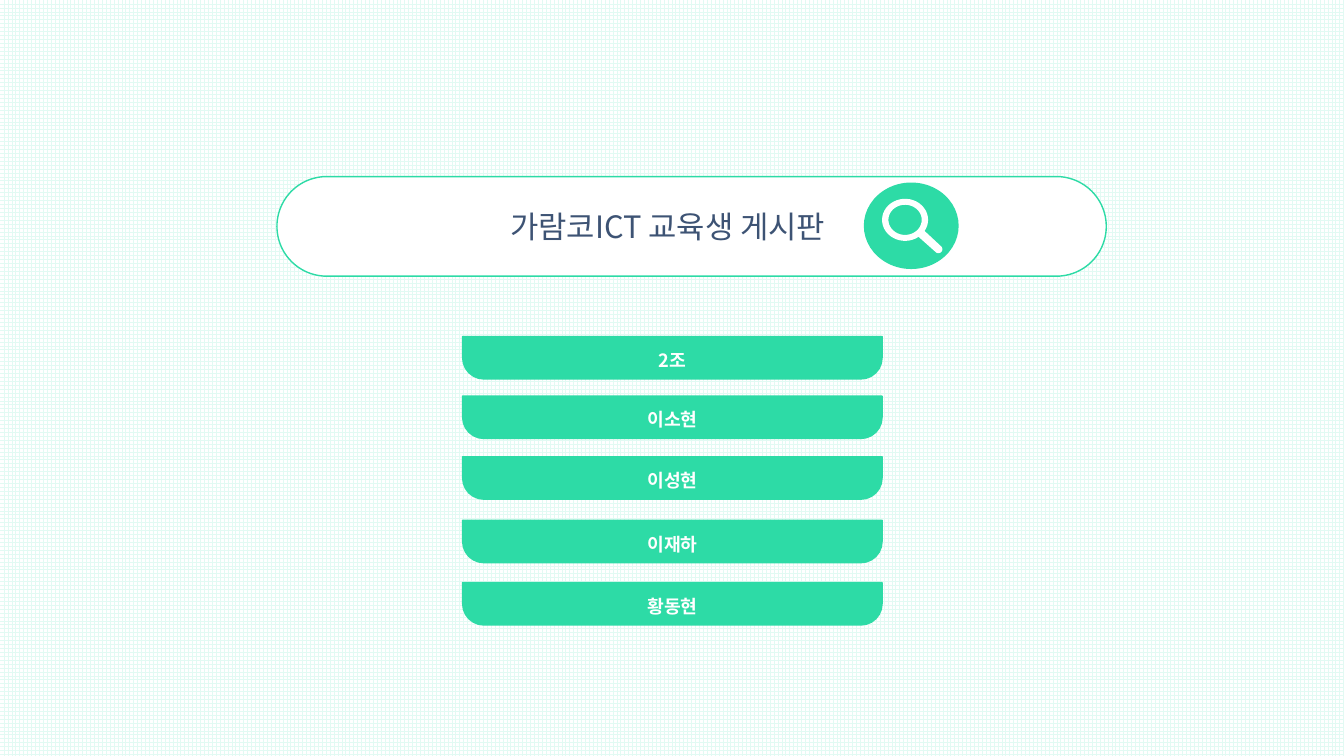
from dataclasses import dataclass
from math import cos, radians, sin

from pptx import Presentation
from pptx.dml.color import RGBColor
from pptx.enum.dml import MSO_PATTERN as Pattern
from pptx.enum.shapes import MSO_SHAPE as Preset
from pptx.enum.text import MSO_ANCHOR as Anchor, PP_ALIGN as Align
from pptx.oxml.ns import qn
from pptx.util import Cm, Pt


@dataclass(frozen=True)
class Theme:
    """Colours, font and type sizes of the slide."""
    mint: RGBColor = RGBColor.from_string("2DDBA6")
    pale: RGBColor = RGBColor.from_string("E2FAF3")
    white: RGBColor = RGBColor.from_string("FFFFFF")
    navy: RGBColor = RGBColor.from_string("3D5374")
    font: str = "Noto Sans CJK KR"
    title_size: Pt = Pt(22)
    label_size: Pt = Pt(13)
    outline: Pt = Pt(1)


THEME = Theme()

TITLE = "가람코ICT 교육생 게시판"
TEAM_BARS = [("2조", 8.48), ("이소현", 9.98), ("이성현", 11.51),
             ("이재하", 13.11), ("황동현", 14.68)]


def apply_format(target, values):
    """Set each named attribute of the target."""
    for name, value in values.items():
        setattr(target, name, value)


def paint(shape, fill, line=None):
    """Give a shape a flat fill and an optional outline."""
    shape.shadow.inherit = False
    shape.fill.solid()
    shape.fill.fore_color.rgb = fill
    if line is None:
        shape.line.fill.background()
    else:
        shape.line.color.rgb = line
        shape.line.width = THEME.outline


def add_preset(shapes, preset, bounds, fill, line=None, adjustments=()):
    """Add a painted preset shape; bounds are in centimetres."""
    shape = shapes.add_shape(preset, *map(Cm, bounds))
    for index, value in enumerate(adjustments):
        shape.adjustments[index] = value
    paint(shape, fill, line)
    return shape


def write_text(shape, text, color, font_format, para_format, frame_format):
    """Write one centred paragraph into a shape."""
    frame = shape.text_frame
    apply_format(frame, {"word_wrap": True, "vertical_anchor": Anchor.MIDDLE,
                         **frame_format})
    para = frame.paragraphs[0]
    apply_format(para, {"alignment": Align.CENTER, **para_format})
    span = para.add_run()
    span.text = text
    apply_format(span.font, {"name": THEME.font, **font_format})
    span.font.color.rgb = color
    east_asian = span.font._element.makeelement(qn("a:ea"), {"typeface": THEME.font})
    span.font._element.find(qn("a:latin")).addnext(east_asian)


def arc(center, radii, start, end, steps=40):
    """Return points along an elliptical arc, clockwise in degrees."""
    angles = [radians(start + (end - start) * i / steps) for i in range(steps + 1)]
    return [(Cm(center[0] + radii[0] * cos(a)), Cm(center[1] + radii[1] * sin(a)))
            for a in angles]


def add_magnifier(shapes):
    """Draw the white magnifying glass: lens rim, rounded handle and hole."""
    lens, handle_end = (22.81, 5.54), (23.65, 6.28)
    rim = arc(lens, (0.58, 0.53), 54, 392)
    cap = arc(handle_end, (0.1, 0.1), -45, 135, 12)
    hole = arc(lens, (0.42, 0.38), 360, 0)
    builder = shapes.build_freeform(*rim[0])
    builder.add_line_segments(rim[1:] + cap, close=True)
    builder.move_to(*hole[0])
    builder.add_line_segments(hole[1:], close=True)
    paint(builder.convert_to_shape(), THEME.white)


def add_search_bar(page):
    """Add the grouped search field with its title and search button."""
    shapes = page.shapes.add_group_shape().shapes
    field = add_preset(shapes, Preset.ROUNDED_RECTANGLE, (6.98, 4.45, 20.9, 2.51),
                       THEME.white, THEME.mint, (0.5,))
    write_text(field, TITLE, THEME.navy, {"size": THEME.title_size}, {},
               {"margin_left": Cm(0.25), "margin_right": Cm(1.45)})
    add_preset(shapes, Preset.OVAL, (21.77, 4.6, 2.39, 2.18), THEME.mint)
    add_magnifier(shapes)


def add_team_bar(page, label, top):
    """Add one bar with rounded lower corners and a bold label."""
    bar = add_preset(page.shapes, Preset.ROUND_2_SAME_RECTANGLE,
                     (11.66, top, 10.57, 1.07), THEME.mint, THEME.mint, (0, 0.5))
    write_text(bar, label, THEME.white, {"size": THEME.label_size, "bold": True},
               {"line_spacing": 1.5}, {})


def set_grid_background(page):
    """Cover the page with a pale large-grid pattern."""
    fill = page.background.fill
    fill.patterned()
    fill.pattern = Pattern.LARGE_GRID
    fill.fore_color.rgb = THEME.pale
    fill.back_color.rgb = THEME.white


def main():
    """Build and save the deck."""
    deck = Presentation()
    apply_format(deck, {"slide_width": Cm(33.87), "slide_height": Cm(19.05)})
    page = deck.slides.add_slide(deck.slide_layouts[6])
    set_grid_background(page)
    add_search_bar(page)
    for label, top in TEAM_BARS:
        add_team_bar(page, label, top)
    deck.save("out.pptx")


main()
